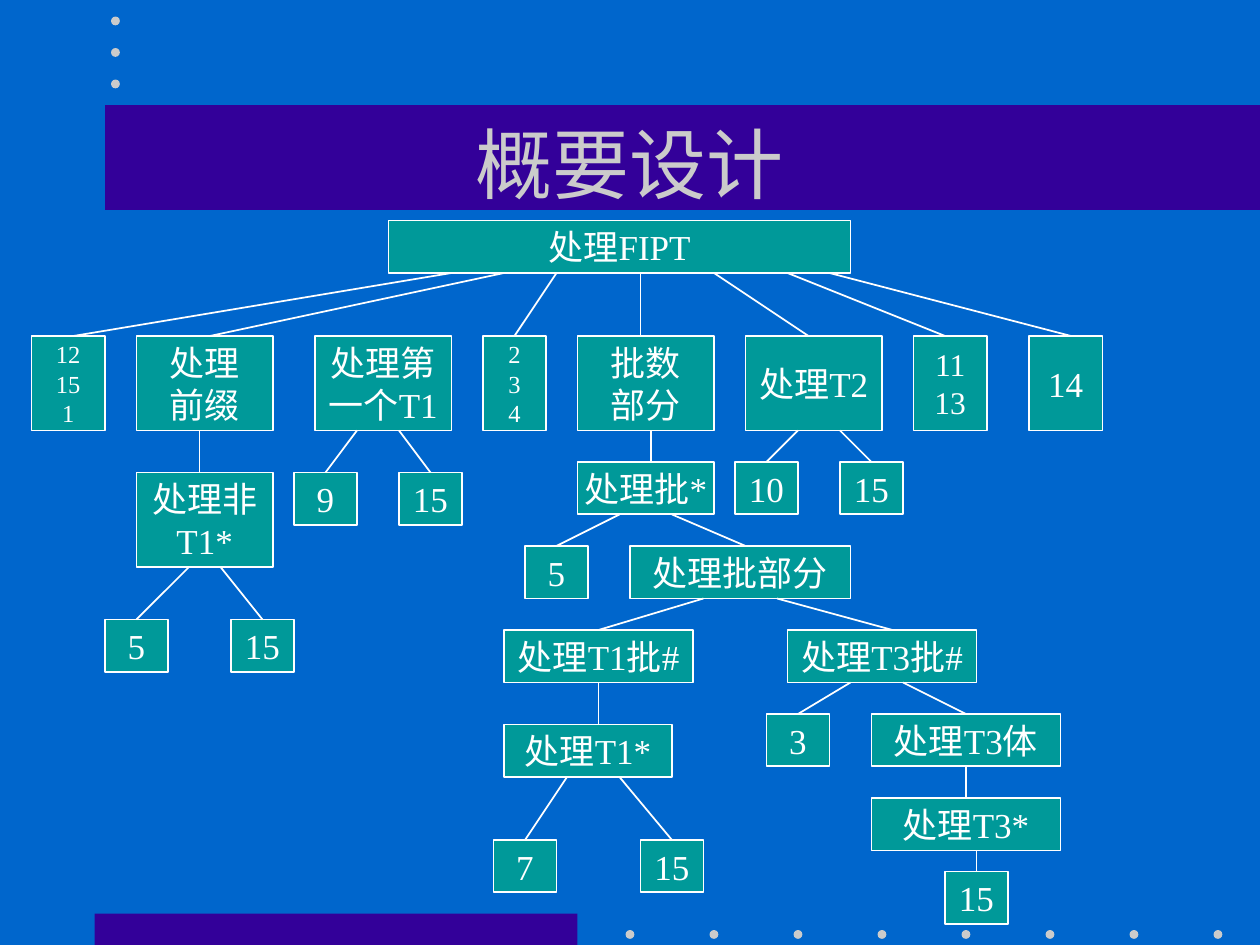
from lxml import etree
from pptx import Presentation
from pptx import util as u
from pptx.dml.color import RGBColor
from pptx.enum import shapes, text
from pptx.oxml.ns import qn

BLUE = RGBColor(0x00, 0x66, 0xCC)
PURPLE = RGBColor(0x33, 0x00, 0x99)
GREY = RGBColor(0xCB, 0xCB, 0xCB)
TEAL = RGBColor(0x00, 0x99, 0x99)
WHITE = RGBColor(0xFF, 0xFF, 0xFF)

GRID = u.Inches(1) / 12
DOT = u.Inches(0.07)
FRAME_FORMAT = {"word_wrap": False, "vertical_anchor": text.MSO_ANCHOR.MIDDLE}

presentation = Presentation()
presentation.slide_width = u.Inches(10)
presentation.slide_height = u.Inches(7.5)
slide = presentation.slides.add_slide(presentation.slide_layouts[6])
slide.background.fill.solid()
slide.background.fill.fore_color.rgb = BLUE


def add_filled(kind, box, color):
    shape = slide.shapes.add_shape(kind, *(round(value) for value in box))
    shape.shadow.inherit = False
    shape.fill.solid()
    shape.fill.fore_color.rgb = color
    shape.line.fill.background()
    return shape


def write_text(shape, words, size, color):
    frame = shape.text_frame
    for name, value in FRAME_FORMAT.items():
        setattr(frame, name, value)
    frame.text = words
    for paragraph in frame.paragraphs:
        paragraph.alignment = text.PP_ALIGN.CENTER
        for name, value in {"name": "Times New Roman", "size": u.Pt(size)}.items():
            setattr(paragraph.font, name, value)
        paragraph.font.color.rgb = color


for bar in [(9, 87, 46, 3), (10, 10, 110, 10)]:
    add_filled(shapes.MSO_SHAPE.RECTANGLE, [value * GRID for value in bar], PURPLE)

bottom_dots = [(60 + 8 * i, 89) for i in range(8)]
top_dots = [(11, 2 + 3 * i) for i in range(3)]
for x, y in bottom_dots + top_dots:
    box = (x * GRID - DOT / 2, y * GRID - DOT / 2, DOT, DOT)
    add_filled(shapes.MSO_SHAPE.OVAL, box, GREY)

title = slide.shapes.add_textbox(*(round(value * GRID) for value in (9, 8, 102, 15)))
write_text(title, "概要设计", 44, GREY)

nodes = [
    ("处理FIPT", 20, (37, 21, 44, 5), None),
    ("12\n15\n1", 14, (3, 32, 7, 9), ("处理FIPT", 43, 7)),
    ("处理\n前缀", 20, (13, 32, 13, 9), ("处理FIPT", 48, 20)),
    ("处理非\nT1*", 20, (13, 45, 13, 9), ("处理\n前缀", 19, 19)),
    ("处理第\n一个T1", 20, (30, 32, 13, 9), None),
    ("2\n3\n4", 14, (46, 32, 6, 9), ("处理FIPT", 53, 49)),
    ("批数\n部分", 20, (55, 32, 13, 9), ("处理FIPT", 61, 61)),
    ("处理T2", 20, (71, 32, 13, 9), ("处理FIPT", 68, 77)),
    ("11\n13", 18, (87, 32, 7, 9), ("处理FIPT", 75, 90)),
    ("14", 20, (98, 32, 7, 9), ("处理FIPT", 79, 102)),
    ("处理批*", 20, (55, 44, 13, 5), ("批数\n部分", 62, 62)),
    ("处理批部分", 20, (60, 52, 21, 5), ("处理批*", 64, 71)),
    ("5", 20, (50, 52, 6, 5), ("处理批*", 59, 53)),
    ("10", 20, (70, 44, 6, 5), ("处理T2", 76, 73)),
    ("15", 20, (80, 44, 6, 5), ("处理T2", 80, 83)),
    ("9", 20, (28, 45, 6, 5), ("处理第\n一个T1", 34, 31)),
    ("15", 20, (38, 45, 6, 5), ("处理第\n一个T1", 38, 41)),
    ("5", 20, (10, 59, 6, 5), ("处理非\nT1*", 18, 13)),
    ("15", 20, (22, 59, 6, 5), ("处理非\nT1*", 21, 25)),
    ("处理T1批#", 20, (48, 60, 18, 5), ("处理批部分", 67, 57)),
    ("处理T3批#", 20, (75, 60, 18, 5), ("处理批部分", 74, 85)),
    ("处理T1*", 20, (48, 69, 16, 5), ("处理T1批#", 57, 57)),
    ("处理T3体", 20, (83, 68, 18, 5), ("处理T3批#", 86, 92)),
    ("处理T3*", 20, (83, 76, 18, 5), ("处理T3体", 92, 92)),
    ("3", 20, (73, 68, 6, 5), ("处理T3批#", 81, 76)),
    ("15", 20, (90, 83, 6, 5), ("处理T3*", 93, 93)),
    ("7", 20, (47, 80, 6, 5), ("处理T1*", 54, 50)),
    ("15", 20, (61, 80, 6, 5), ("处理T1*", 59, 64)),
]

boxes = {}
links = []
for words, size, grid_box, link in nodes:
    shape = add_filled(shapes.MSO_SHAPE.RECTANGLE, [value * GRID for value in grid_box], TEAL)
    shape.line.color.rgb = WHITE
    shape.line.width = u.Pt(1)
    write_text(shape, words, size, WHITE)
    boxes[words] = (shape, grid_box)
    if link:
        links.append((shape, grid_box, link))

for child, child_box, (parent_words, start_x, end_x) in links:
    parent, parent_box = boxes[parent_words]
    ends = (start_x, parent_box[1] + parent_box[3], end_x, child_box[1])
    connector = slide.shapes.add_connector(
        shapes.MSO_CONNECTOR.STRAIGHT, *(round(value * GRID) for value in ends)
    )
    connector.line.color.rgb = WHITE
    connector.line.width = u.Pt(1)
    etree.SubElement(connector._element.spPr, qn("a:effectLst"))
    if 2 * start_x == 2 * parent_box[0] + parent_box[2]:
        connector.begin_connect(parent, 2)
    if 2 * end_x == 2 * child_box[0] + child_box[2]:
        connector.end_connect(child, 0)

presentation.save("out.pptx")
